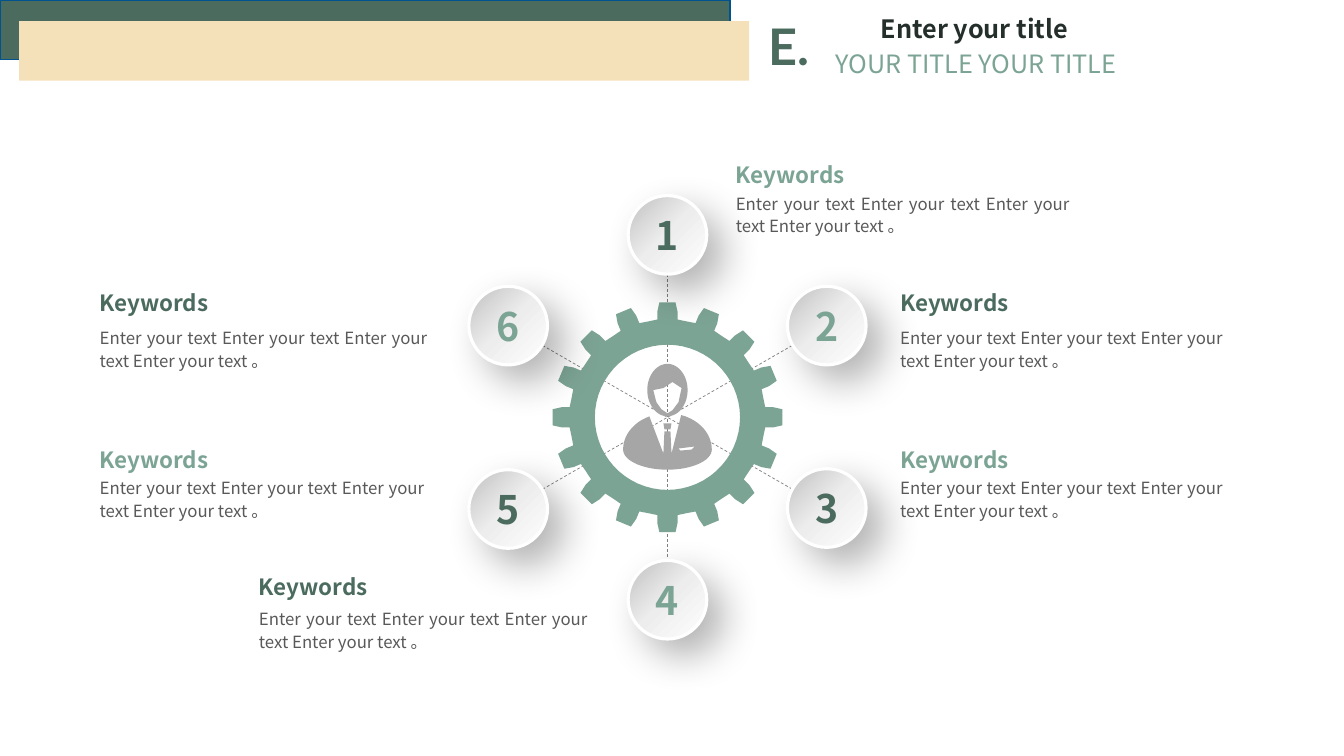
"""Build a slide with a gear, six numbered steps and their keyword texts."""
import math
import pptx
import pptx.dml.color
import pptx.enum.dml
import pptx.enum.shapes
import pptx.enum.text
import pptx.util
from lxml import etree

PX = 9144
NS = "http://schemas.openxmlformats.org/drawingml/2006/main"
DARK, LIGHT = "4B6B5E", "7CA494"
SANS = "Noto Sans CJK SC"
ALIGN = pptx.enum.text.PP_ALIGN
SHAPE = pptx.enum.shapes.MSO_SHAPE
MID_X, MID_Y = 662, 414


def color(value):
    return pptx.dml.color.RGBColor.from_string(value)


def write(shape, text, size, ink, bold=False, align=ALIGN.LEFT, font=SANS):
    frame = shape.text_frame
    frame.text = text
    para = frame.paragraphs[0]
    para.alignment = align
    span = para.runs[0]
    span.font.size = pptx.util.Pt(size)
    span.font.bold = bold
    span.font.color.rgb = color(ink)
    span.font.name = font
    etree.SubElement(span.font._element, f"{{{NS}}}ea", typeface=font)
    return frame


deck = pptx.Presentation()
deck.slide_width, deck.slide_height = 1333 * PX, 750 * PX
page = deck.slides.add_slide(deck.slide_layouts[6])
shapes = page.shapes

for left, top, fill, edge in [(0, 0, DARK, "00538E"), (19, 21, "F5E1B9", None)]:
    band = shapes.add_shape(SHAPE.RECTANGLE, left * PX, top * PX, 724 * PX, 59 * PX)
    band.shadow.inherit = False
    band.fill.solid()
    band.fill.fore_color.rgb = color(fill)
    if edge:
        band.line.color.rgb = color(edge)
        band.line.width = pptx.util.Pt(1)
    else:
        band.line.fill.background()

for left, top, width, height, text, size, ink, bold, align, font in [
    (810, 8, 313, 40, "Enter your title", 18, "242F2C", True, ALIGN.CENTER, SANS),
    (752, 10, 74, 71, "E.", 36, DARK, True, ALIGN.LEFT, "Lato"),
    (819, 43, 313, 40, "YOUR TITLE YOUR TITLE", 18, LIGHT, False, ALIGN.LEFT, SANS),
]:
    box = shapes.add_textbox(left * PX, top * PX, width * PX, height * PX)
    write(box, text, size, ink, bold, align, font).word_wrap = text != "E."

for step in range(3):
    turn = math.pi * step / 3
    reach_x, reach_y = round(182 * math.sin(turn)), round(182 * math.cos(turn))
    spoke = shapes.add_connector(
        pptx.enum.shapes.MSO_CONNECTOR.STRAIGHT,
        (MID_X + reach_x) * PX, (MID_Y - reach_y) * PX,
        (MID_X - reach_x) * PX, (MID_Y + reach_y) * PX)
    spoke.line.color.rgb = color("808080")
    spoke.line.width = pptx.util.Pt(0.5)
    spoke.line.dash_style = pptx.enum.dml.MSO_LINE.DASH
    etree.SubElement(spoke._element.spPr, f"{{{NS}}}effectLst")

circle = [(math.cos(math.tau * step / 60), math.sin(math.tau * step / 60))
          for step in range(60)]
head = [(20 * x, 26 * y - 27) for x, y in circle]
face = [(5, -35), (14, -29), (11, -15), (5, -7), (0, -4), (-6, -8), (-11, -15), (-14, -27), (-4, -29)]
suit = [(44 * x, 32 + (20 if y > 0 else 36) * y)
        for x, y in circle[-12:] + circle[:-18]] + [(-4, 36), (4, 36)]
tie = [(-3, 14), (3, 14), (4, 36), (-4, 36)]
knot = [(-4, 6), (4, 6), (3, 12), (-3, 12)]
pocket = [(11, 31), (27, 29), (24, 32), (13, 33)]

rim = []
teeth = 16
for tooth in range(teeth):
    turn = math.tau * tooth / teeth
    for out, side in [(97, -10), (105, -10), (114, -8), (114, 8), (105, 10), (97, 10)]:
        rim.append((out * math.cos(turn) - side * math.sin(turn),
                    out * math.sin(turn) + side * math.cos(turn)))
    middle = turn + math.pi / teeth
    rim.append((97 * math.cos(middle), 97 * math.sin(middle)))
hole = [(72 * x, -72 * y) for x, y in circle]

for contours, fill in [([head, face, suit, tie, knot, pocket], "A6A6A6"), ([rim, hole], LIGHT)]:
    builder = None
    for contour in contours:
        points = [(round((MID_X + x) * PX), round((MID_Y + y) * PX)) for x, y in contour]
        if builder is None:
            builder = shapes.build_freeform(*points[0])
        else:
            builder.move_to(*points[0])
        builder.add_line_segments(points[1:], close=True)
    outline = builder.convert_to_shape()
    outline.shadow.inherit = False
    outline.fill.solid()
    outline.fill.fore_color.rgb = color(fill)
    outline.line.fill.background()

GRADIENT = (f'<a:gradFill xmlns:a="{NS}"><a:gsLst>'
            + "".join(f'<a:gs pos="{pos}"><a:srgbClr val="{tone}"/></a:gs>' for pos, tone in
                      [(0, "C0C0C0"), (49000, "EDEDED"), (100000, "FFFFFF")])
            + '</a:gsLst><a:lin ang="2700000" scaled="0"/></a:gradFill>')
SHADOW = (f'<a:effectLst xmlns:a="{NS}"><a:outerShdw blurRad="368300" dist="203200" '
          'dir="2700000" algn="tl" rotWithShape="0"><a:srgbClr val="000000">'
          '<a:alpha val="30000"/></a:srgbClr></a:outerShdw></a:effectLst>')

steps = [
    (720, 155, 184, 351),
    (883, 282, 317, 340),
    (883, 438, 466, 340),
    (247, 564, 596, 346),
    (89, 438, 466, 342),
    (89, 282, 317, 345),
]
for index, (left, keyword_top, body_top, width) in enumerate(steps):
    ball_ink, keyword_ink = (LIGHT, DARK) if index % 2 else (DARK, LIGHT)
    turn = math.tau * index / len(steps)
    ball_left = round(MID_X - 39 + 182 * math.sin(turn))
    ball_top = round(MID_Y - 39 - 181 * math.cos(turn))
    ball = shapes.add_shape(SHAPE.OVAL, ball_left * PX, ball_top * PX, 78 * PX, 78 * PX)
    ball.line.color.rgb = color("FFFFFF")
    ball.line.width = pptx.util.Pt(2.25)
    properties = ball._element.spPr
    properties.insert(2, etree.fromstring(GRADIENT))
    properties.append(etree.fromstring(SHADOW))
    frame = write(ball, str(index + 1), 28, ball_ink, True, ALIGN.CENTER)
    frame.margin_left = frame.margin_right = 0
    frame.vertical_anchor = pptx.enum.text.MSO_ANCHOR.MIDDLE

    body = shapes.add_textbox(left * PX, body_top * PX, width * PX, 56 * PX)
    frame = write(body, "Enter your text Enter your text Enter your text Enter your text 。",
                  12, "595959", align=ALIGN.JUSTIFY)
    frame.word_wrap = True
    frame.paragraphs[0].line_spacing = 1.14

    keyword = shapes.add_textbox(left * PX, keyword_top * PX, 131 * PX, 37 * PX)
    write(keyword, "Keywords", 16, keyword_ink, True).word_wrap = False

deck.save("out.pptx")
